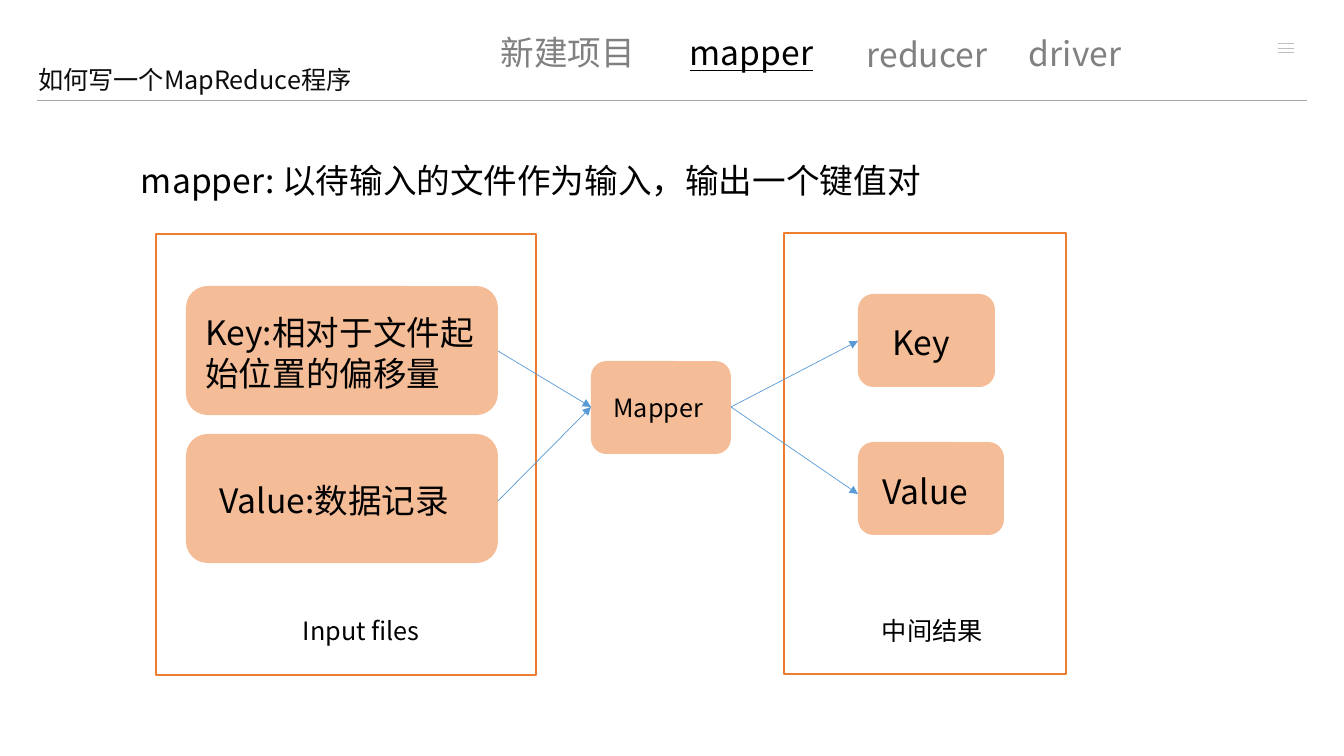
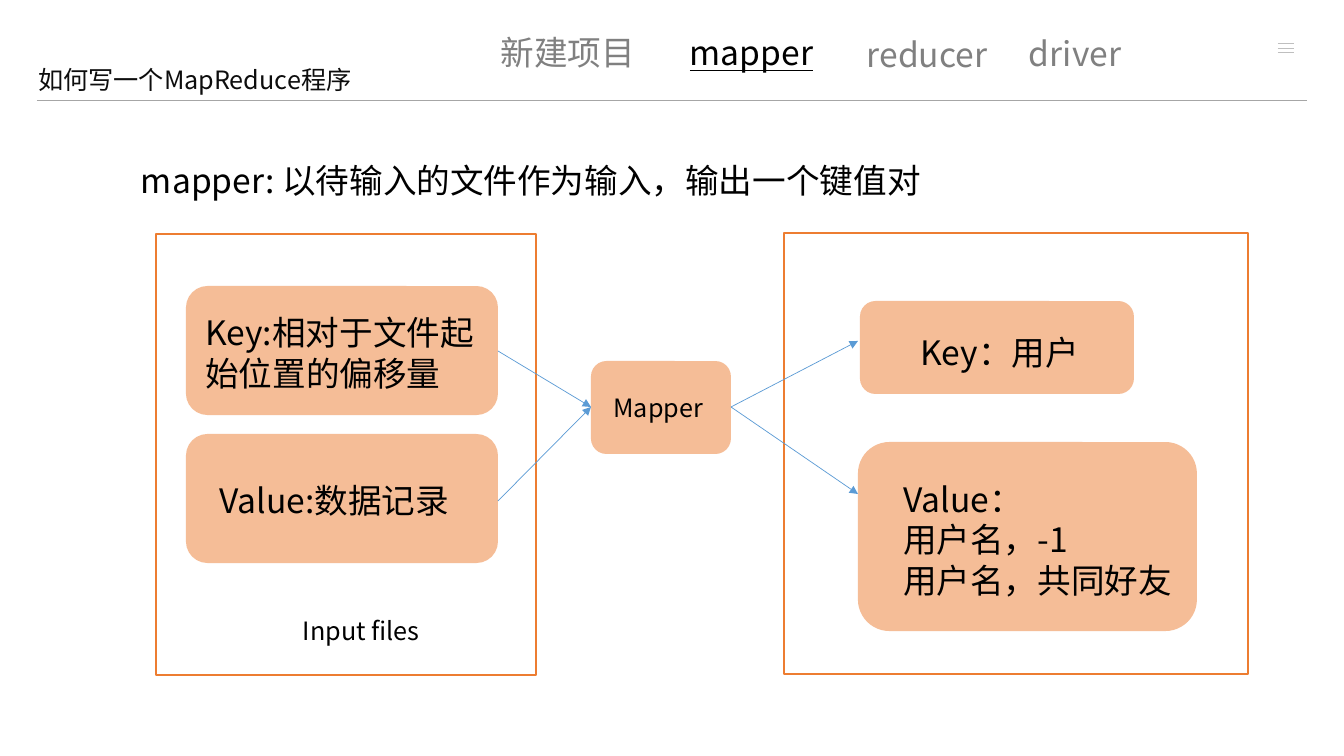
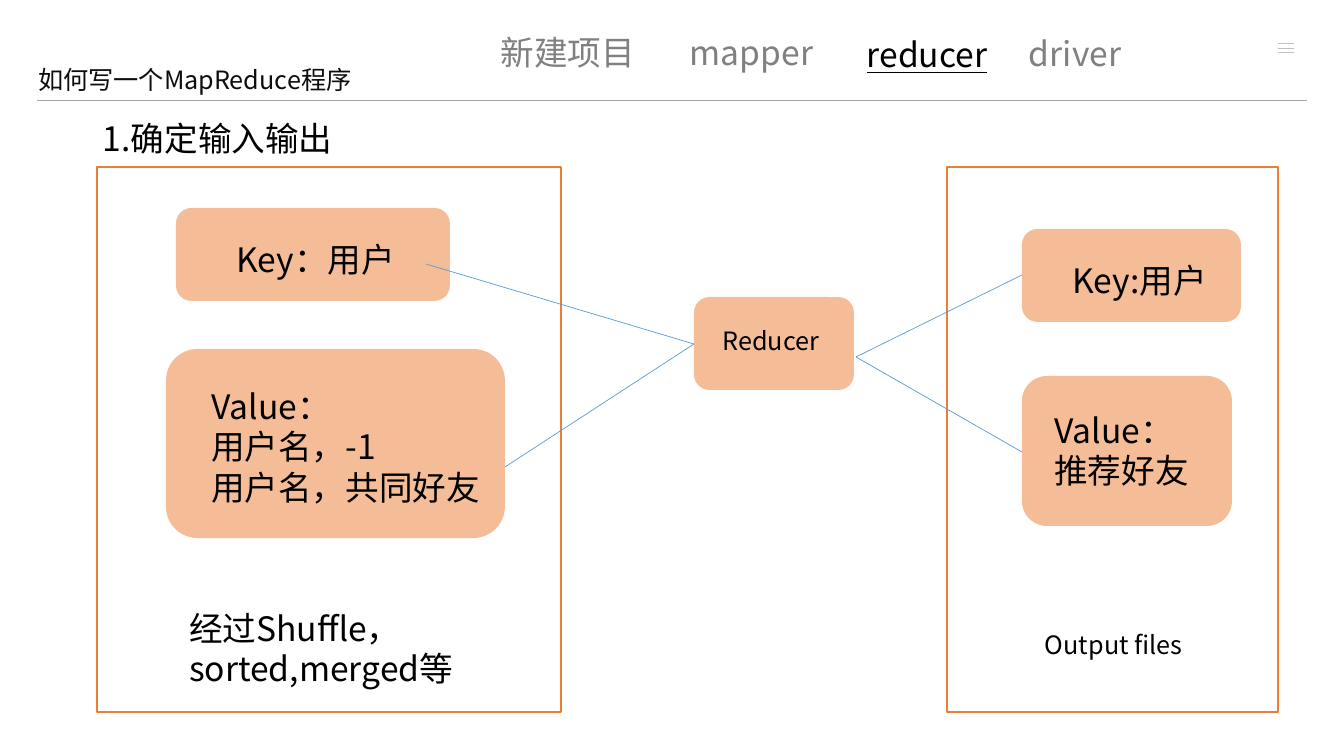
import pptx
import pptx.util
import pptx.oxml
import pptx.oxml.ns
import pptx.dml.color
import pptx.enum.shapes
import pptx.enum.text
import lxml.etree

PX = 914400 / 100.8  # EMU in one px
SHAPE = pptx.enum.shapes.MSO_SHAPE
ALIGN = pptx.enum.text.PP_ALIGN
ANCHOR = pptx.enum.text.MSO_ANCHOR
RGB = pptx.dml.color.RGBColor.from_string
qn = pptx.oxml.ns.qn

THEME = dict(
    font="Noto Sans CJK SC", big=24, small=18,
    black="000000", title="0D0D0D", muted="808080", white="FFFFFF",
    orange="ED7D31", blue="5B9BD5", rule="A6A6A6", icon="BFBFBF",
)


def put_text(sp, text, size=THEME["big"], color=THEME["black"], align=ALIGN.LEFT,
             underline=None, margins=(10, 5, 10, 5)):
    """Write lines of text, centred vertically; margins are left, top, right, bottom."""
    tf = sp.text_frame
    tf.word_wrap = True
    tf.vertical_anchor = ANCHOR.MIDDLE
    tf.margin_left, tf.margin_top, tf.margin_right, tf.margin_bottom = [
        round(m * PX) for m in margins]
    for i, line in enumerate(text.split("\n")):
        p = tf.add_paragraph() if i else tf.paragraphs[0]
        p.alignment = align
        r = p.add_run()
        r.text = line
        r.font.size = pptx.util.Pt(size)
        r.font.name = THEME["font"]
        r.font.color.rgb = RGB(color)
        r.font.underline = underline
        ea = lxml.etree.SubElement(r.font._element, qn("a:ea"))
        ea.set("typeface", THEME["font"])


def add_line(s, x1, y1, x2, y2, color, arrow=False):
    """Draw a thin straight line, with an arrowhead at its end if asked."""
    line = s.shapes.add_connector(pptx.enum.shapes.MSO_CONNECTOR.STRAIGHT,
                                  *[round(v * PX) for v in (x1, y1, x2, y2)])
    line.line.width = pptx.util.Pt(0.5)
    line.line.color.rgb = RGB(color)
    if arrow:
        lxml.etree.SubElement(line.line._get_or_add_ln(), qn("a:tailEnd"), type="triangle")
    lxml.etree.SubElement(line._element.spPr, qn("a:effectLst"))


# Navigation: text, box, alignment
NAV = [
    ("新建项目", (345, 27, 300, 50), ALIGN.RIGHT),
    ("mapper", (644, 27, 215, 50), ALIGN.CENTER),
    ("reducer", (838, 29, 178, 50), ALIGN.CENTER),
    ("driver", (986, 28, 178, 50), ALIGN.CENTER),
]

# Nodes: box, text, text indent, downward text shift, type size
BIG, SMALL = THEME["big"], THEME["small"]
VALUE_PAIRS = "Value：\n用户名，-1\n用户名，共同好友"
MAPPER_INPUT = [
    ((591, 361, 140, 93), "Mapper", 23, 0, SMALL),
    ((186, 286, 312, 129), "Key:相对于文件起始位置的偏移量", 19, 2, BIG),
    ((186, 434, 312, 129), "Value:数据记录", 33, 2, BIG),
]
MAPPER_LINES = [(498, 351, 591, 407), (498, 501, 591, 407),
                (731, 407, 858, 341), (731, 407, 858, 494)]
MAPPER_HEAD = ("mapper: 以待输入的文件作为输入，输出一个键值对", (131, 155, 934, 50))
INPUT_FRAME = (156, 234, 380, 441)
INPUT_LABEL = ("Input files", (303, 615, 190, 30), SMALL)

SLIDES = [
    dict(
        active="mapper", head=MAPPER_HEAD, arrows=True, lines=MAPPER_LINES,
        frames=[(784, 233, 282, 441), INPUT_FRAME],
        nodes=MAPPER_INPUT + [
            ((858, 294, 137, 93), "Key", 35, 2, BIG),
            ((858, 442, 146, 93), "Value", 25, 3, BIG),
        ],
        labels=[INPUT_LABEL, ("中间结果", (882, 615, 160, 30), SMALL)],
    ),
    dict(
        active="mapper", head=MAPPER_HEAD, arrows=True, lines=MAPPER_LINES,
        frames=[(784, 233, 464, 441), INPUT_FRAME],
        nodes=MAPPER_INPUT + [
            ((860, 301, 274, 93), "Key：用户", 61, 5, BIG),
            ((858, 442, 339, 189), VALUE_PAIRS, 45, 3, BIG),
        ],
        labels=[INPUT_LABEL],
    ),
    dict(
        active="reducer", head=("1.确定输入输出", (93, 113, 934, 50)), arrows=False,
        lines=[(426, 264, 694, 344), (505, 467, 694, 344),
               (856, 357, 1022, 275), (856, 357, 1022, 452)],
        frames=[(97, 167, 464, 545), (947, 167, 331, 545)],
        nodes=[
            ((176, 208, 274, 93), "Key：用户", 61, 5, BIG),
            ((166, 349, 339, 189), VALUE_PAIRS, 45, 3, BIG),
            ((694, 297, 160, 93), "Reducer", 29, -3, SMALL),
            ((1022, 229, 219, 93), "Key:用户", 51, 5, BIG),
            ((1022, 376, 210, 150), "Value：\n推荐好友", 33, -1, BIG),
        ],
        labels=[("经过Shuffle，\nsorted,merged等", (189, 608, 360, 80), BIG),
                ("Output files", (1045, 629, 190, 30), SMALL)],
    ),
]

prs = pptx.Presentation()
prs.slide_width, prs.slide_height = round(1344 * PX), round(756 * PX)

for spec_ in SLIDES:
    s = prs.slides.add_slide(prs.slide_layouts[6])

    # Frames
    for box in spec_["frames"]:
        sp = s.shapes.add_shape(SHAPE.RECTANGLE, *[round(v * PX) for v in box])
        sp.shadow.inherit = False
        sp.fill.solid()
        sp.fill.fore_color.rgb = RGB(THEME["white"])
        sp.line.color.rgb = RGB(THEME["orange"])
        sp.line.width = pptx.util.Pt(1)

    # Header rule and menu icon
    add_line(s, 37, 100, 1307, 100, THEME["rule"])
    for y in (43, 48, 52):
        add_line(s, 1278, y, 1294, y, THEME["icon"])

    # Text boxes: title, navigation, heading, labels
    texts = [("如何写一个MapReduce程序", (28, 59, 498, 40),
              dict(size=SMALL, color=THEME["title"]))]
    for text, box, align in NAV:
        active = text == spec_["active"]
        texts.append((text, box, dict(align=align, underline=active or None,
                                      color=THEME["black" if active else "muted"])))
    texts.append((*spec_["head"], {}))
    for text, box, size in spec_["labels"]:
        texts.append((text, box, dict(size=size, margins=(0, 0, 0, 0))))
    for text, box, style in texts:
        sp = s.shapes.add_textbox(*[round(v * PX) for v in box])
        put_text(sp, text, **style)

    # Nodes
    for box, text, indent, shift, size in spec_["nodes"]:
        sp = s.shapes.add_shape(SHAPE.ROUNDED_RECTANGLE, *[round(v * PX) for v in box])
        sp.shadow.inherit = False
        sp.fill.solid()
        sp.fill.fore_color.rgb = RGB(THEME["orange"])
        color = sp.fill._xPr.find(qn("a:solidFill"))[0]
        lxml.etree.SubElement(color, qn("a:alpha"), val="50000")
        sp.line.fill.background()
        corner = round(min(box[2:]) * 0.05)  # a rounded shape insets its text
        put_text(sp, text, size=size,
                 margins=(indent - corner, max(2 * shift, 0), 0, max(-2 * shift, 0)))

    # Connections
    for ends in spec_["lines"]:
        add_line(s, *ends, THEME["blue"], arrow=spec_["arrows"])

prs.save("out.pptx")
